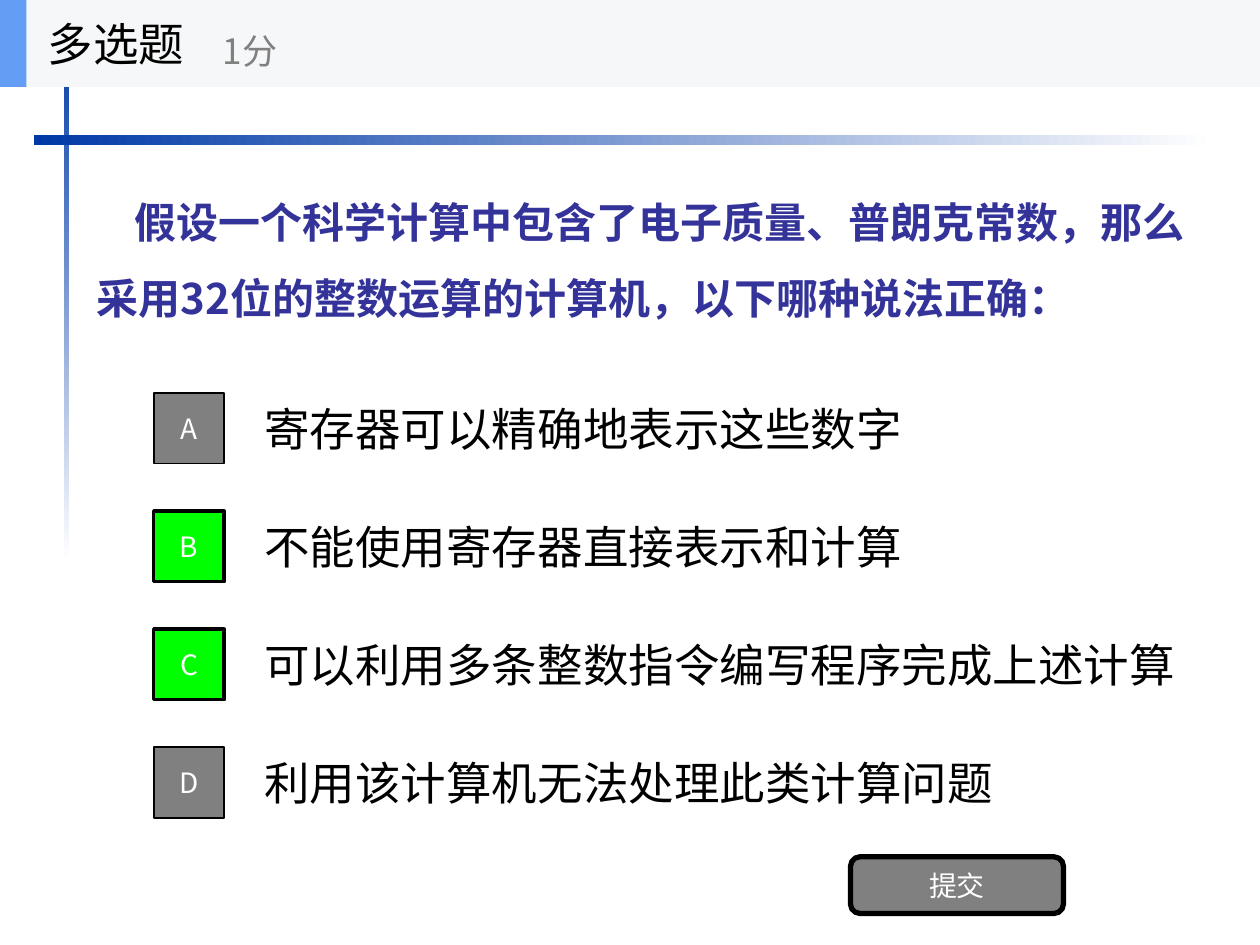
from lxml import etree
from pptx import Presentation
from pptx.dml.color import RGBColor
from pptx.enum.shapes import MSO_SHAPE
from pptx.enum.text import MSO_ANCHOR, PP_ALIGN
from pptx.oxml.ns import qn
from pptx.util import Inches, Pt

RECT, ROUNDED = MSO_SHAPE.RECTANGLE, MSO_SHAPE.ROUNDED_RECTANGLE
MIDDLE = MSO_ANCHOR.MIDDLE
LEFT, CENTER = PP_ALIGN.LEFT, PP_ALIGN.CENTER

FONT = "Noto Sans CJK SC"
BLACK = RGBColor(0x00, 0x00, 0x00)
WHITE = RGBColor(0xFF, 0xFF, 0xFF)
GRAY = RGBColor(0x80, 0x80, 0x80)
GREEN = RGBColor(0x00, 0xFF, 0x00)
NAVY = RGBColor(0x00, 0x39, 0xA6)
INDIGO = RGBColor(0x33, 0x33, 0x99)
HEADER_FILL = RGBColor(0xF6, 0xF7, 0xF8)
HEADER_ACCENT = RGBColor(0x63, 0x9E, 0xF4)

# Content
TITLE, SCORE, SUBMIT = "多选题", "1分", "提交"
QUESTION = "假设一个科学计算中包含了电子质量、普朗克常数，那么采用32位的整数运算的计算机，以下哪种说法正确："
OPTIONS = [  # letter, answer, correct
    ("A", "寄存器可以精确地表示这些数字", False),
    ("B", "不能使用寄存器直接表示和计算", True),
    ("C", "可以利用多条整数指令编写程序完成上述计算", True),
    ("D", "利用该计算机无法处理此类计算问题", False),
]

# Layout in inches
OPTION_TOP, OPTION_STEP, OPTION_HEIGHT = 3.05, 0.937, 0.7
MARK_LEFT, MARK_SIZE = 1.22, 0.56
ANSWER_LEFT, ANSWER_WIDTH = 2, 7.72
HEADER_HEIGHT = 0.69


def write(shape, text, size, color, align=LEFT, bold=False):
    frame = shape.text_frame
    frame.word_wrap = True
    frame.vertical_anchor = MIDDLE
    frame.text = text
    para = frame.paragraphs[0]
    para.alignment = align
    span = para.runs[0]
    span.font.name, span.font.size, span.font.bold = FONT, Pt(size), bold
    span.font.color.rgb = color
    east_asian = etree.Element(qn("a:ea"), typeface=FONT)
    span.font._element.find(qn("a:latin")).addnext(east_asian)
    return para


def add_text(page, place, text, size, color, bold=False):
    box = page.shapes.add_textbox(*map(Inches, place))
    return write(box, text, size, color, bold=bold)


def add_block(page, place, fill=None, line=None, kind=RECT):
    block = page.shapes.add_shape(kind, *map(Inches, place))
    block.shadow.inherit = False
    if fill is not None:
        block.fill.solid()
        block.fill.fore_color.rgb = fill
    if line:
        block.line.color.rgb = BLACK
        block.line.width = Pt(line)
    else:
        block.line.fill.background()
    return block


def add_fading_bar(page, place, angle):
    bar = add_block(page, place)
    bar.fill.gradient()
    bar.fill.gradient_angle = angle
    for stop, color in zip(bar.fill.gradient_stops, (NAVY, WHITE)):
        stop.color.rgb = color


def add_button(page, place, text, fill, line, kind=RECT):
    button = add_block(page, place, fill, line, kind)
    frame = button.text_frame
    frame.margin_left = frame.margin_right = 0
    frame.margin_top = frame.margin_bottom = 0
    write(button, text, 16, WHITE, CENTER)


def main():
    deck = Presentation()
    deck.slide_width, deck.slide_height = Inches(10), Inches(7.5)
    page = deck.slides.add_slide(deck.slide_layouts[6])

    # Crossing bars that fade out
    add_fading_bar(page, (0.51, 0.28, 0.04, 4.17), 270)
    add_fading_bar(page, (0.27, 1.07, 9.37, 0.08), 0)

    # Question
    para = add_text(page, (0.67, 0.79, 9.06, 2.34), QUESTION, 24, INDIGO, bold=True)
    para.line_spacing = 1.5
    para._p.get_or_add_pPr().set("indent", str(Inches(0.3)))

    # Options
    for row, (letter, answer, correct) in enumerate(OPTIONS):
        top = OPTION_TOP + row * OPTION_STEP
        mark_top = top + (OPTION_HEIGHT - MARK_SIZE) / 2
        add_text(page, (ANSWER_LEFT, top, ANSWER_WIDTH, OPTION_HEIGHT), answer, 26, BLACK)
        add_button(page, (MARK_LEFT, mark_top, MARK_SIZE, MARK_SIZE), letter,
                   GREEN if correct else GRAY, 2 if correct else 1)

    # Submit button
    add_button(page, (6.75, 6.8, 1.69, 0.45), SUBMIT, GRAY, 3, ROUNDED)

    # Header band
    add_block(page, (0, 0, 10, HEADER_HEIGHT), HEADER_FILL)
    add_block(page, (0, 0, 0.21, HEADER_HEIGHT), HEADER_ACCENT)
    add_text(page, (0.28, 0, 2.08, HEADER_HEIGHT), TITLE, 26, BLACK)
    add_text(page, (1.67, 0.12, 2.5, 0.56), SCORE, 20, GRAY)

    deck.save("out.pptx")


if __name__ == "__main__":
    main()
